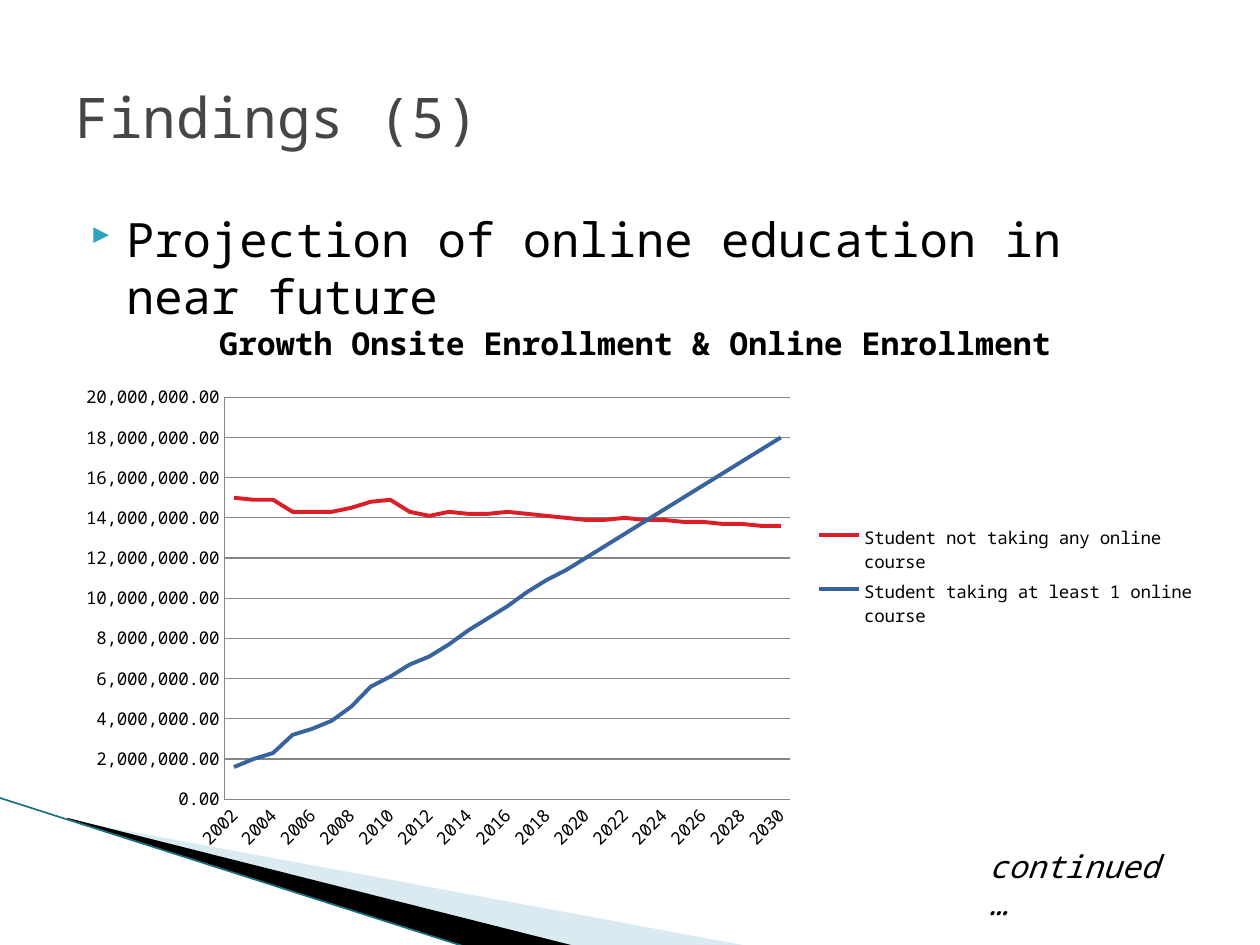
"""Build the enrollment projection slide with its line chart."""
import pptx
import pptx.chart.data
import pptx.dml.color
import pptx.enum.chart
import pptx.enum.shapes
import pptx.enum.text
import pptx.oxml
import pptx.oxml.ns
import pptx.util

Inches, Pt = pptx.util.Inches, pptx.util.Pt
RGBColor = pptx.dml.color.RGBColor
qn = pptx.oxml.ns.qn

FONT = "Noto Sans Mono"
BLACK = RGBColor(0, 0, 0)
GRAY = RGBColor(0x46, 0x46, 0x46)
AXIS = RGBColor(0x86, 0x86, 0x86)
RED = RGBColor(0xDA, 0x1F, 0x28)
BLUE = RGBColor(0x39, 0x63, 0x9D)
PALE = RGBColor(0xA0, 0xCB, 0xDC)
EDGE = RGBColor(0x1A, 0x6F, 0x82)

TITLE = "Findings (5)"
BULLET = "Projection of online education in near future"
CONTINUED = "continued …"
CHART_TITLE = "Growth Onsite Enrollment & Online Enrollment"
YEARS = [str(year) for year in range(2002, 2031)]
UNIT = 100000
SERIES = [
    ("Student not taking any online course", RED,
     [150, 149, 149, 143, 143, 143, 145, 148, 149, 143, 141, 143, 142, 142, 143,
      142, 141, 140, 139, 139, 140, 139, 139, 138, 138, 137, 137, 136, 136]),
    ("Student taking at least 1 online course", BLUE,
     [16, 20, 23, 32, 35, 39, 46, 56, 61, 67, 71, 77, 84, 90, 96,
      103, 109, 114, 120, 126, 132, 138, 144, 150, 156, 162, 168, 174, 180]),
]
GRID = Inches(0.01)
WEDGES = [
    (PALE, 40, [(55, 651), (595, 751), (456, 751), (55, 650)]),
    (BLACK, 100, [(53, 649), (457, 751), (372, 752), (54, 650)]),
]
PLOT_SHARE = {"x": 0.141, "y": 0.183, "w": 0.495, "h": 0.709}
LEGEND_SHARE = {"x": 0.654, "y": 0.4, "w": 0.34, "h": 0.2}


def xml(tag, body="", attributes=""):
    prefix = tag.split(":")[0]
    return pptx.oxml.parse_xml(
        f"<{tag} {pptx.oxml.ns.nsdecls(prefix)} {attributes}>{body}</{tag}>")


def style(font, size, color=BLACK, **extra):
    for name, value in dict(name=FONT, size=Pt(size), **extra).items():
        setattr(font, name, value)
    font.color.rgb = color


def place(box, left, top, width, height):
    for name, value in dict(left=left, top=top, width=width, height=height).items():
        setattr(box, name, Inches(value))


def write(box, text, size, color=BLACK, **extra):
    box.text_frame.word_wrap = True
    box.text_frame.auto_size = pptx.enum.text.MSO_AUTO_SIZE.NONE
    para = box.text_frame.paragraphs[0]
    para.alignment = pptx.enum.text.PP_ALIGN.LEFT
    span = para.add_run()
    span.text = text
    style(span.font, size, color, **extra)
    return para


def set_layout(parent, index, shares, inner=False):
    for old in parent.findall(qn("c:layout")):
        parent.remove(old)
    body = '<c:layoutTarget val="inner"/>' if inner else ""
    body += '<c:xMode val="edge"/><c:yMode val="edge"/>'
    body += "".join(f'<c:{key} val="{value}"/>' for key, value in shares.items())
    parent.insert(index, xml("c:layout", f"<c:manualLayout>{body}</c:manualLayout>"))


def draw_corner(page):
    parts = []
    for color, opacity, points in WEDGES:
        builder = page.shapes.build_freeform(*points[0], scale=GRID)
        builder.add_line_segments(points[1:], close=True)
        wedge = builder.convert_to_shape()
        wedge.shadow.inherit = False
        wedge.fill.solid()
        wedge.fill.fore_color.rgb = color
        wedge.line.fill.background()
        if opacity < 100:
            fill = wedge._element.spPr.find(qn("a:solidFill"))
            fill[0].append(xml("a:alpha", attributes=f'val="{opacity * 1000}"'))
        parts.append(wedge)
    edge = page.shapes.add_connector(
        pptx.enum.shapes.MSO_CONNECTOR.STRAIGHT,
        *map(Inches, (-0.01, 6.33, 3.71, 7.52)))
    edge.line.color.rgb = EDGE
    edge.line.width = Pt(0.95)
    edge._element.spPr.append(xml("a:effectLst"))
    for index, part in enumerate(parts + [edge], 2):
        page.shapes._spTree.insert(index, part._element)


def draw_chart(page):
    data = pptx.chart.data.CategoryChartData(number_format="#,##0.00")
    data.categories = YEARS
    for name, _, values in SERIES:
        data.add_series(name, [value * UNIT for value in values])
    chart = page.shapes.add_chart(
        pptx.enum.chart.XL_CHART_TYPE.LINE,
        *map(Inches, (0.5, 2.33, 9.08, 4.5)), data).chart
    style(chart.font, 10)
    chart.has_title = True
    para = chart.chart_title.text_frame.paragraphs[0]
    span = para.add_run()
    span.text = CHART_TITLE
    style(span.font, 18, bold=True)
    chart.has_legend = True
    chart.legend.position = pptx.enum.chart.XL_LEGEND_POSITION.RIGHT
    chart.legend.include_in_layout = False
    chart.plots[0].vary_by_categories = False
    for series, (_, color, _) in zip(chart.plots[0].series, SERIES):
        series.smooth = False
        series.format.line.color.rgb = color
        series.format.line.width = Pt(2.25)
        series.marker.style = pptx.enum.chart.XL_MARKER_STYLE.NONE
    values, years = chart.value_axis, chart.category_axis
    for axis in (values, years):
        axis.major_tick_mark = axis.minor_tick_mark = pptx.enum.chart.XL_TICK_MARK.NONE
        axis.format.line.color.rgb = AXIS
        axis.format.line.width = Pt(0.75)
        style(axis.tick_labels.font, 10)
    values.minimum_scale, values.maximum_scale, values.major_unit = 0, 200 * UNIT, 20 * UNIT
    values.has_major_gridlines = True
    values.major_gridlines.format.line.color.rgb = AXIS
    values.major_gridlines.format.line.width = Pt(0.75)
    values.tick_labels.number_format = "#,##0.00"
    values.tick_labels.number_format_is_linked = False
    years._element.find(qn("c:txPr")).find(qn("a:bodyPr")).set("rot", "-2700000")
    years._element.find(qn("c:noMultiLvlLbl")).addprevious(
        xml("c:tickLblSkip", attributes='val="2"'))
    set_layout(chart._chartSpace.chart.plotArea, 0, PLOT_SHARE, inner=True)
    set_layout(chart.legend._element, 1, LEGEND_SHARE)


deck = pptx.Presentation()
deck.slide_width, deck.slide_height = Inches(10), Inches(7.5)
page = deck.slides.add_slide(deck.slide_layouts[1])
draw_corner(page)

title, body = page.shapes.title, page.placeholders[1]
place(title, 0.5, 0.3, 9, 1.25)
title.text_frame.vertical_anchor = pptx.enum.text.MSO_ANCHOR.MIDDLE
write(title, TITLE, 32, GRAY)

place(body, 0.5, 1.62, 9, 4.95)
para = write(body, BULLET, 27)
para.space_before = Pt(4)
properties = para._p.get_or_add_pPr()
properties.set("marL", str(Inches(0.4)))
properties.set("indent", str(Inches(-0.28)))
for bullet in (xml("a:buClr", '<a:srgbClr val="2DA2BF"/>'),
               xml("a:buSzPct", attributes='val="68000"'),
               xml("a:buFont", attributes='typeface="Wingdings 3" charset="2"'),
               xml("a:buChar", attributes='char="}"')):
    properties.append(bullet)

draw_chart(page)
note = page.shapes.add_textbox(*map(Inches, (7.75, 6.67, 1.74, 0.4)))
write(note, CONTINUED, 18, italic=True)

deck.save("out.pptx")
